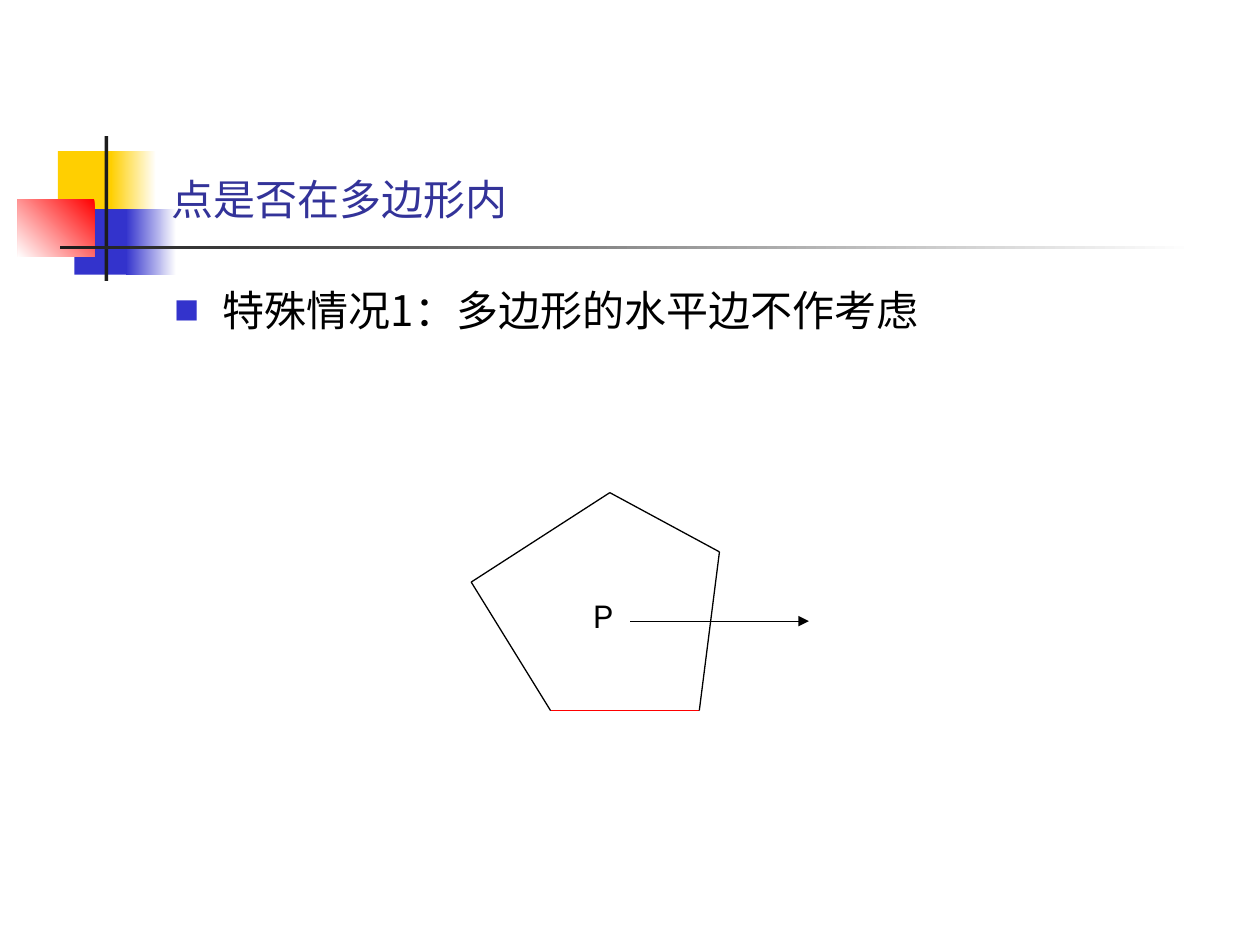
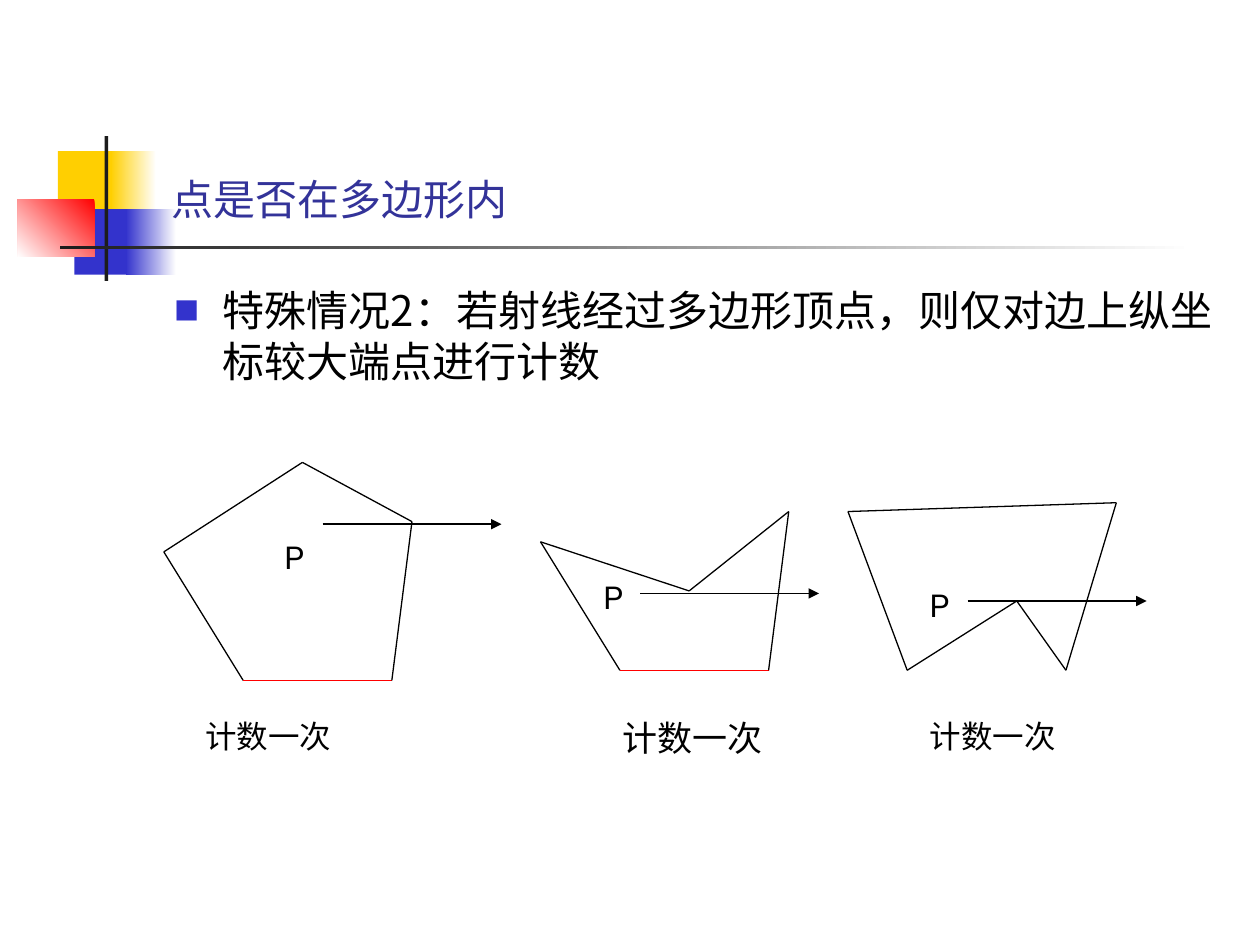
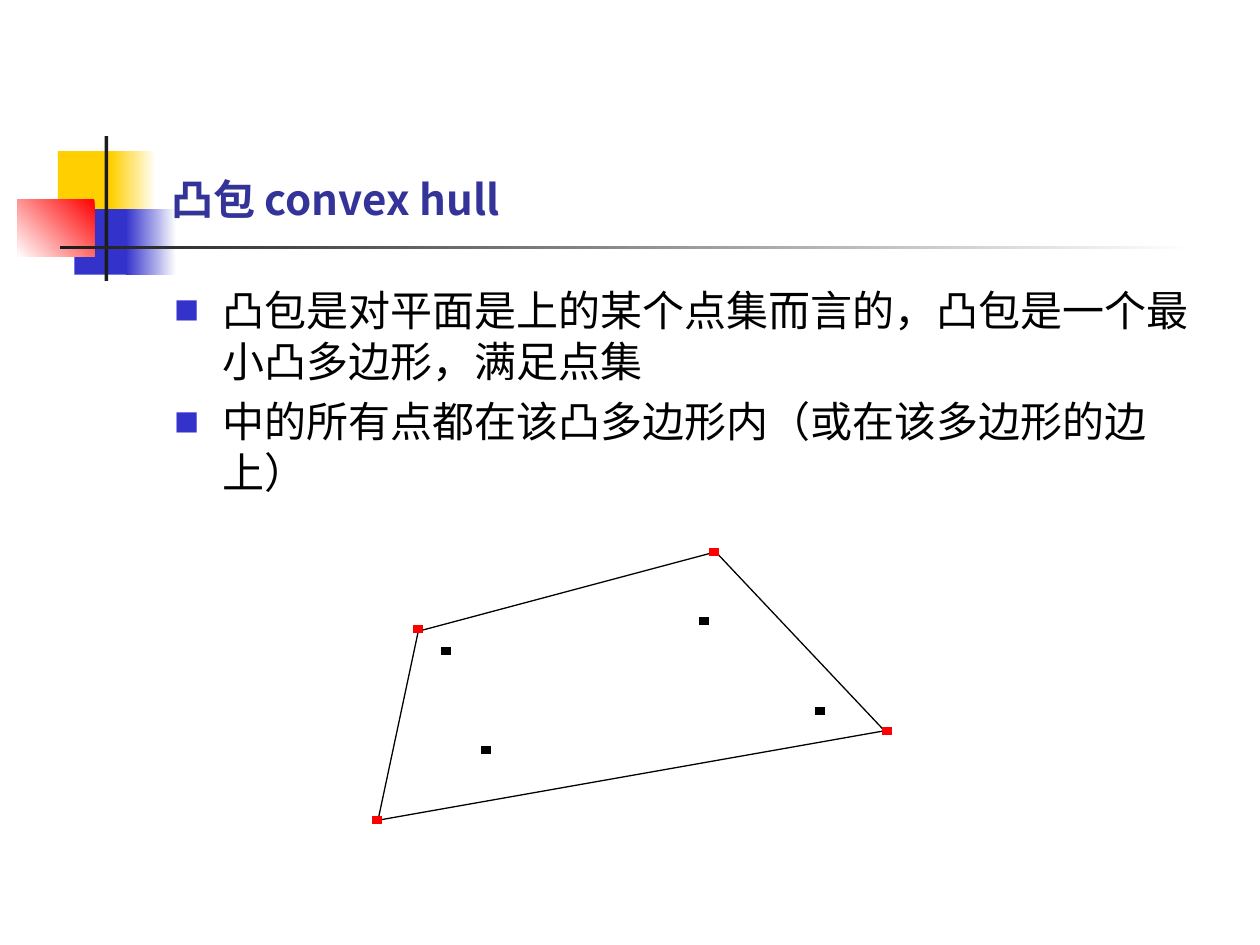
from pptx import Presentation
from pptx.dml.color import RGBColor
from pptx.enum import shapes, text
from pptx.oxml import ns
from pptx.util import Inches, Pt
from lxml import etree

WHITE = RGBColor(0xFF, 0xFF, 0xFF)
BLACK = RGBColor(0, 0, 0)
RED = RGBColor(0xFF, 0, 0)
YELLOW = RGBColor(0xFF, 0xCF, 0x01)
BLUE = RGBColor(0x33, 0x33, 0xCC)
INDIGO = RGBColor(0x33, 0x33, 0x99)
CHARCOAL = RGBColor(0x1C, 0x1C, 0x1C)

CJK, LATIN, MONO = "Noto Sans CJK SC", "Roboto", "Noto Sans Mono"

BANDS = [
    ((0.46, 1.2, 0.48, 0.52), (YELLOW,), 0),
    ((0.88, 1.2, 0.36, 0.52), (WHITE, YELLOW), 180),
    ((0.59, 1.66, 0.46, 0.52), (BLUE,), 0),
    ((1, 1.66, 0.4, 0.52), (WHITE, BLUE), 180),
    ((0.14, 1.58, 0.61, 0.46), (RED, WHITE), 225),
    ((0.83, 1.08, 0.03, 1.15), (CHARCOAL,), 0),
    ((0.48, 1.95, 9, 0.03), (WHITE, CHARCOAL), 180),
]

PENTAGON = [(1.1, 0), (0, 0.71), (0.63, 1.73), (1.81, 1.73), (1.97, 0.47)]
NOTCHED_TOP = [(1.18, 0.63), (0, 0.24), (0.63, 1.26), (1.81, 1.26), (1.97, 0)]
NOTCHED_BASE = [(1.34, 0.78), (0.47, 1.33), (0, 0.07), (2.13, 0), (1.73, 1.33)]
BASE_EDGE = 2
RAY_LENGTH = 1.42

HULL = [(0.37, 0.63), (2.73, 0), (4.07, 1.42), (0.05, 2.13)]
INNER_POINTS = [(0.55, 0.79), (0.87, 1.57), (2.6, 0.55), (3.52, 1.26)]
HULL_POINTS = [(0.33, 0.61), (2.68, 0), (4.05, 1.42), (0, 2.13)]
POINT_WIDTH = 0.08


def add_child(parent, tag, **attributes):
    """Append a DrawingML element with the given attributes."""
    return etree.SubElement(parent, ns.qn(tag), attributes)


def add_line(slide, start, end, color=BLACK, width=0.75, arrow=False):
    """Draw a straight line between two points."""
    line = slide.shapes.add_connector(
        shapes.MSO_CONNECTOR.STRAIGHT, *(Inches(v) for v in (*start, *end)))
    line.line.color.rgb = color
    line.line.width = Pt(width)
    if arrow:
        add_child(line.line._get_or_add_ln(), "a:tailEnd", type="triangle")
    add_child(line._element.spPr, "a:effectLst")


def style_font(paragraph, size, color, latin, bold=False):
    """Set the font of a whole paragraph."""
    font = paragraph.font
    font.size, font.bold, font.color.rgb, font.name = Pt(size), bold, color, latin
    add_child(paragraph._p.pPr.find(ns.qn("a:defRPr")), "a:ea", typeface=CJK)


def add_text(slide, box, lines, size, color=BLACK, latin=CJK, bold=False,
             anchor=text.MSO_ANCHOR.TOP, bulleted=False):
    """Write paragraphs in a box, with square bullets when asked."""
    frame = slide.shapes.add_textbox(*map(Inches, box)).text_frame
    frame.word_wrap = True
    frame.vertical_anchor = anchor
    for index, words in enumerate(lines):
        paragraph = frame.paragraphs[0] if index == 0 else frame.add_paragraph()
        paragraph.text = words
        if index:
            paragraph.space_before = Pt(6)
        if bulleted:
            add_bullet(paragraph)
        style_font(paragraph, size, color, latin, bold)


def add_bullet(paragraph):
    """Give a paragraph a hanging blue square."""
    properties = paragraph._p.get_or_add_pPr()
    properties.set("marL", str(Inches(0.38)))
    properties.set("indent", str(Inches(-0.38)))
    add_child(add_child(properties, "a:buClr"), "a:srgbClr", val=str(BLUE))
    add_child(properties, "a:buSzPct", val="60000")
    add_child(properties, "a:buFont", typeface=CJK)
    add_child(properties, "a:buChar", char="■")


def add_bands(slide):
    """Draw the coloured blocks and the two rules beside the title."""
    for box, colors, angle in BANDS:
        band = slide.shapes.add_shape(
            shapes.MSO_SHAPE.RECTANGLE, *map(Inches, box))
        band.shadow.inherit = False
        band.line.fill.background()
        if len(colors) == 1:
            band.fill.solid()
            band.fill.fore_color.rgb = colors[0]
            continue
        band.fill.gradient()
        band.fill.gradient_angle = angle
        for stop, color in zip(band.fill.gradient_stops, colors):
            stop.color.rgb = color


def add_topic(deck, title, points, body_height, latin=CJK, bold=False):
    """Add a slide with the bands, a title and bulleted points."""
    slide = deck.slides.add_slide(deck.slide_layouts[6])
    add_bands(slide)
    add_text(slide, (1.26, 0.23, 8.52, 1.6), [title], 24, INDIGO, bold=bold,
             anchor=text.MSO_ANCHOR.BOTTOM)
    add_text(slide, (1.29, 2.21, 8.5, body_height), points, 24, latin=latin,
             bulleted=True)
    return slide


def add_ray_case(slide, origin, corners, ray, label, red_base=True):
    """Draw a polygon with the ray that leaves its point P."""
    left, top = origin
    vertices = [(left + x, top + y) for x, y in corners]
    for index, start in enumerate(vertices):
        color = RED if red_base and index == BASE_EDGE else BLACK
        add_line(slide, start, vertices[(index + 1) % len(vertices)], color)
    x, y = left + ray[0], top + ray[1]
    add_line(slide, (x, y), (x + RAY_LENGTH, y), arrow=True)
    add_text(slide, (left + label[0], top + label[1], 0.4, 0.4), ["P"], 18,
             latin=LATIN)


def add_hull(slide, left, top):
    """Draw the convex hull and its point set."""
    corners = [(left + x, top + y) for x, y in HULL]
    for start, end in zip(corners, corners[1:] + corners[:1]):
        add_line(slide, start, end)
    for points, color in ((INNER_POINTS, BLACK), (HULL_POINTS, RED)):
        for x, y in points:
            add_line(slide, (left + x, top + y),
                     (left + x + POINT_WIDTH, top + y), color, 4.5)


def main():
    """Build the three slides."""
    deck = Presentation()
    deck.slide_width, deck.slide_height = Inches(10), Inches(7.5)

    horizontal = add_topic(deck, "点是否在多边形内",
                           ["特殊情况1：多边形的水平边不作考虑"], 1.39)
    add_ray_case(horizontal, (3.74, 3.91), PENTAGON, (1.26, 1.02), (0.87, 0.78))

    vertex = add_topic(
        deck, "点是否在多边形内",
        ["特殊情况2：若射线经过多边形顶点，则仅对边上纵坐标较大端点进行计数"], 1.23)
    add_ray_case(vertex, (1.3, 3.67), PENTAGON, (1.26, 0.49), (0.86, 0.55))
    add_ray_case(vertex, (4.29, 4.06), NOTCHED_TOP, (0.79, 0.65), (0.4, 0.48))
    add_ray_case(vertex, (6.73, 3.99), NOTCHED_BASE, (0.95, 0.78), (0.55, 0.61),
                 red_base=False)
    for left, size, latin in ((1.53, 18, LATIN), (4.84, 20, MONO), (7.28, 18, LATIN)):
        add_text(vertex, (left, 5.64, 1.34, 0.4), ["计数一次"], size, latin=latin)

    hull = add_topic(
        deck, "凸包 convex hull",
        ["凸包是对平面是上的某个点集而言的，凸包是一个最小凸多边形，满足点集",
         "中的所有点都在该凸多边形内（或在该多边形的边上）"],
        1.86, latin=LATIN, bold=True)
    add_hull(hull, 2.95, 4.38)

    deck.save("out.pptx")


if __name__ == "__main__":
    main()
